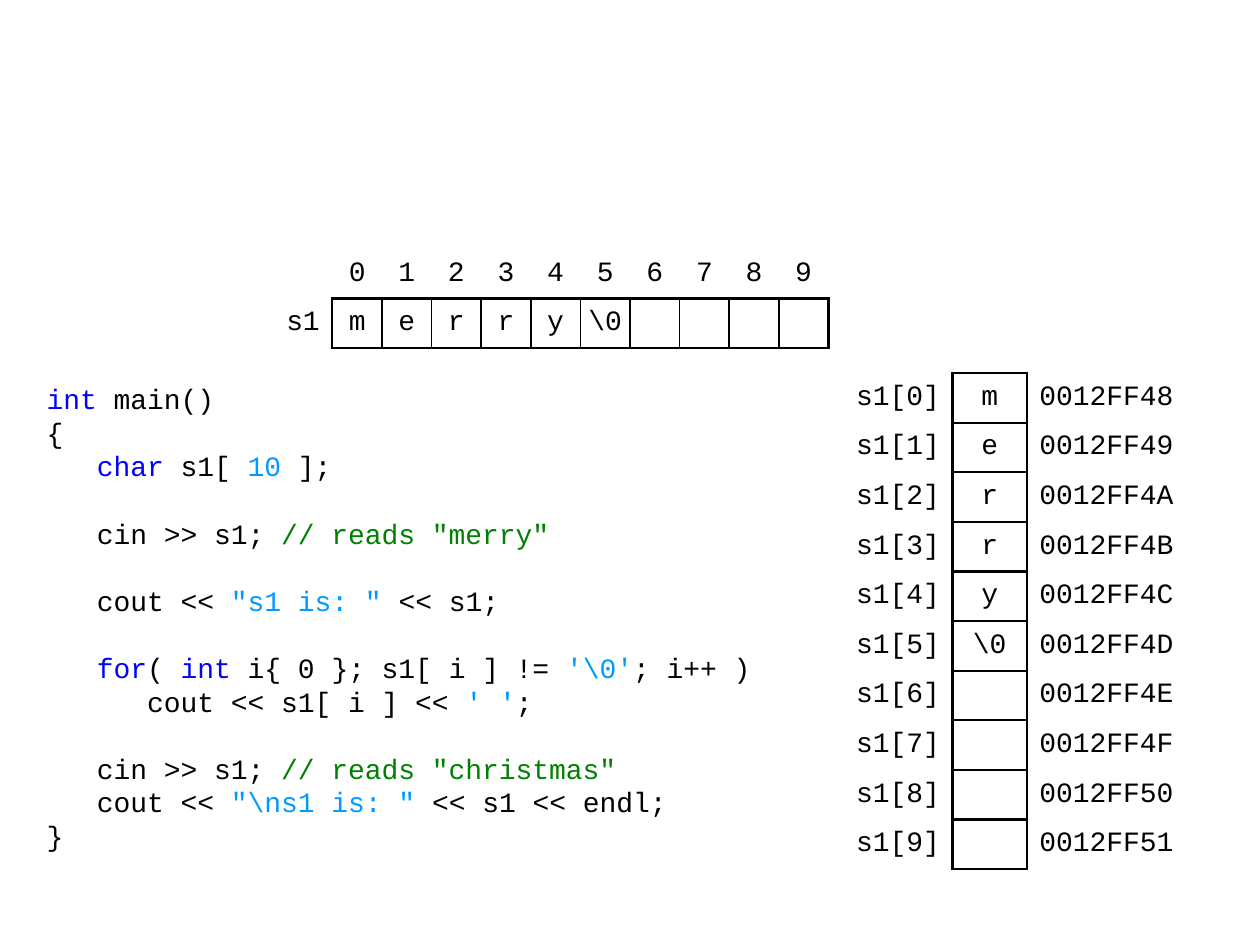
import pptx
import pptx.dml.color
import pptx.enum.text
import pptx.oxml
import pptx.oxml.ns
import pptx.util

RGB = pptx.dml.color.RGBColor
BLACK = RGB(0, 0, 0)
WHITE = RGB(0xFF, 0xFF, 0xFF)
BLUE = RGB(0, 0, 0xFF)
SKY = RGB(0, 0x99, 0xFF)
GREEN = RGB(0, 0x80, 0)
ALIGN = pptx.enum.text.PP_ALIGN
FONT, SIZE, PITCH = "Courier New", 16, 19.2
PLAIN = "{2D5ABB26-0587-4C30-8999-92F81FD0307C}"  # table style without grid

UNIT = pptx.util.Cm(1)  # one step of the slide's grid
COUNT = 10
WORD = ["m", "e", "r", "r", "y", "\\0"]
CELLS = WORD + [""] * (COUNT - len(WORD))
START = 0x0012FF48

# Blocks of code; each line is a list of plain or coloured pieces
CODE = [
    [[("int", BLUE), " main()"],
     ["{"],
     ["   ", ("char", BLUE), " s1[ ", ("10", SKY), " ];"]],
    [["   cin >> s1;", (' // reads "merry"', GREEN)]],
    [["   cout << ", ('"s1 is: "', SKY), " << s1;"]],
    [["   ", ("for", BLUE), "( ", ("int", BLUE), " i{ 0 }; s1[ i ] != ",
      ("'\\0'", SKY), "; i++ )"],
     ["      cout << s1[ i ] << ", ("' '", SKY), ";"]],
    [["   cin >> s1; ", ('// reads "christmas"', GREEN)],
     ["   cout << ", ('"\\ns1 is: " ', SKY), "<< s1 << endl;"],
     ["}"]],
]


def text(frame, blocks, align=ALIGN.LEFT, pitch=None):
    """Write blocks of lines, with one empty line's height between blocks."""
    first = True
    for block in blocks:
        for row, line in enumerate(block):
            para = frame.paragraphs[0] if first else frame.add_paragraph()
            para.alignment = align
            if pitch:
                para.line_spacing = pptx.util.Pt(pitch)
                para.space_before = pptx.util.Pt(0 if first or row else pitch)
            first = False
            for piece in line:
                words, color = (piece, BLACK) if isinstance(piece, str) else piece
                run = para.add_run()
                run.text = words
                run.font.name = FONT
                run.font.size = pptx.util.Pt(SIZE)
                run.font.color.rgb = color


def edge(cell, **sides):
    """Draw cell borders; sides L, R, T and B give widths in points."""
    props = cell._tc.get_or_add_tcPr()
    for side in "LRTB":
        if side in sides:
            width = int(pptx.util.Pt(sides[side]))
            props.append(pptx.oxml.parse_xml(
                f'<a:ln{side} {pptx.oxml.ns.nsdecls("a")} w="{width}">'
                f'<a:solidFill><a:srgbClr val="{BLACK}"/></a:solidFill>'
                f'</a:ln{side}>'))


def fill(cell, words, align, pad, sides, color=None):
    """Set one cell's borders, fill, margins and text."""
    edge(cell, **sides)
    if color is None:
        cell.fill.background()
    else:
        cell.fill.solid()
        cell.fill.fore_color.rgb = color
    cell.vertical_anchor = pptx.enum.text.MSO_ANCHOR.MIDDLE
    cell.margin_left = cell.margin_right = pptx.util.Inches(pad[0])
    cell.margin_top = cell.margin_bottom = pptx.util.Inches(pad[1])
    if words:
        text(cell.text_frame, [[[words]]], align=align)


def grid(slide, left, top, cols, rows):
    """Add an unstyled table whose columns and rows are in grid units."""
    frame = slide.shapes.add_table(
        rows, len(cols), int(left * UNIT), int(top * UNIT),
        int(sum(cols) * UNIT), rows * UNIT)
    table = frame.table
    table.first_row = table.horz_banding = False
    table._tbl.tblPr.find(pptx.oxml.ns.qn("a:tableStyleId")).text = PLAIN
    for col, width in zip(table.columns, cols):
        col.width = int(width * UNIT)
    for row in table.rows:
        row.height = UNIT
    return table


def code(slide, left, top, width, height):
    box = slide.shapes.add_textbox(*(int(n * UNIT)
                                     for n in (left, top, width, height)))
    box.text_frame.word_wrap = True
    box.text_frame.margin_top = pptx.util.Inches(0.07)
    text(box.text_frame, CODE, pitch=PITCH)


def memory(slide, left, top):
    """Elements from top to bottom, with their names and addresses."""
    table = grid(slide, left, top, [3, 1.5, 3.5], COUNT)
    pad = (0.1, 0.04)
    for i, mark in enumerate(CELLS):
        fill(table.cell(i, 0), f"s1[{i}]", ALIGN.RIGHT, pad, {"R": 1.5})
        fill(table.cell(i, 1), mark, ALIGN.CENTER, pad,
             dict.fromkeys("LRTB", 1.5), WHITE)
        fill(table.cell(i, 2), f"{START + i:08X}", ALIGN.LEFT, pad,
             {"L": 1.5}, WHITE)


def array(slide, left, top):
    """Elements from left to right, below their indexes."""
    table = grid(slide, left, top, [1.5] + [1] * COUNT, 2)
    pad = (0.1, 0)
    fill(table.cell(0, 0), "", ALIGN.LEFT, pad, {})
    fill(table.cell(1, 0), "s1", ALIGN.RIGHT, pad, {"R": 1.5})
    for i, mark in enumerate(CELLS):
        fill(table.cell(0, i + 1), str(i), ALIGN.CENTER, pad, {"B": 1.5})
        sides = {"L": 1 if i else 1.5, "R": 1 if i < COUNT - 1 else 1.5,
                 "T": 1.5, "B": 1.5}
        fill(table.cell(1, i + 1), mark, ALIGN.CENTER, (0, 0), sides)


def main():
    deck = pptx.Presentation()
    deck.slide_width = pptx.util.Inches(10)
    deck.slide_height = pptx.util.Inches(7.5)
    slide = deck.slides.add_slide(deck.slide_layouts[6])
    code(slide, 0.69, 7.52, 15, 10)
    memory(slide, 16.2, 7.52)
    array(slide, 5.2, 5.02)
    deck.save("out.pptx")


if __name__ == "__main__":
    main()
